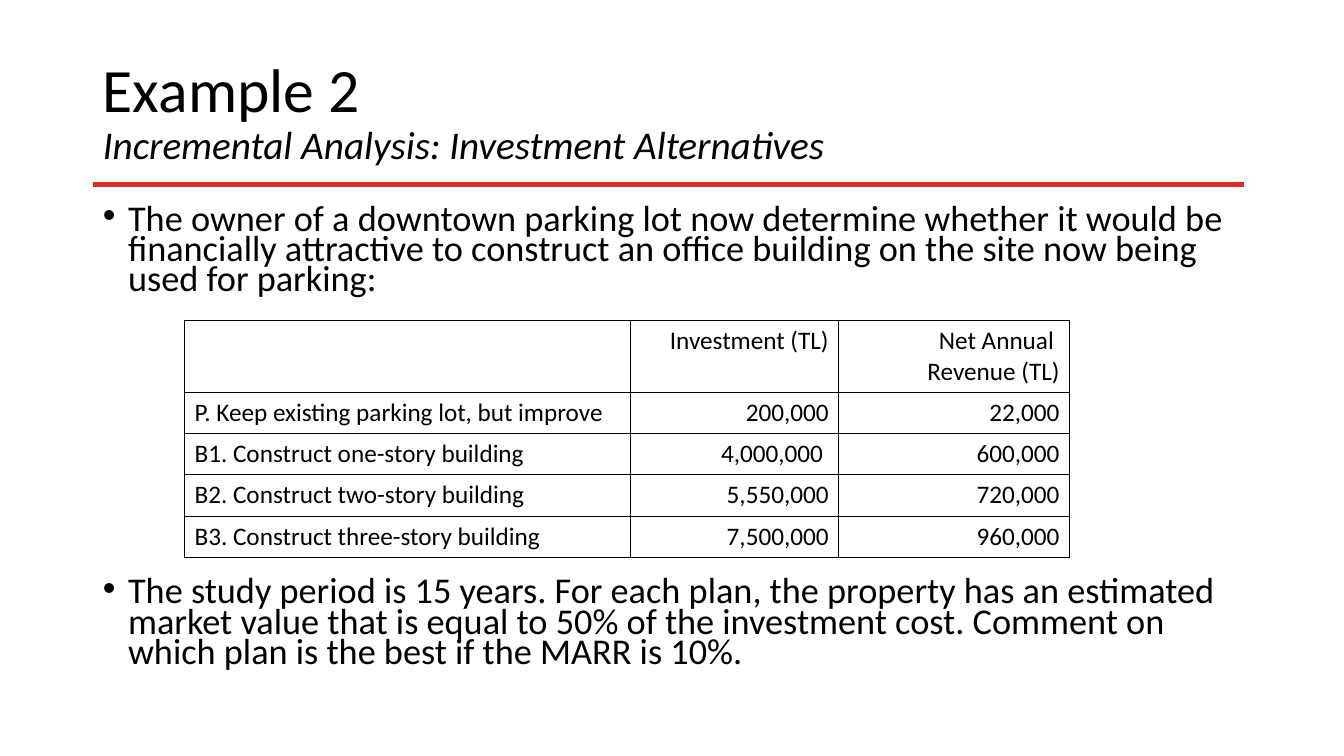
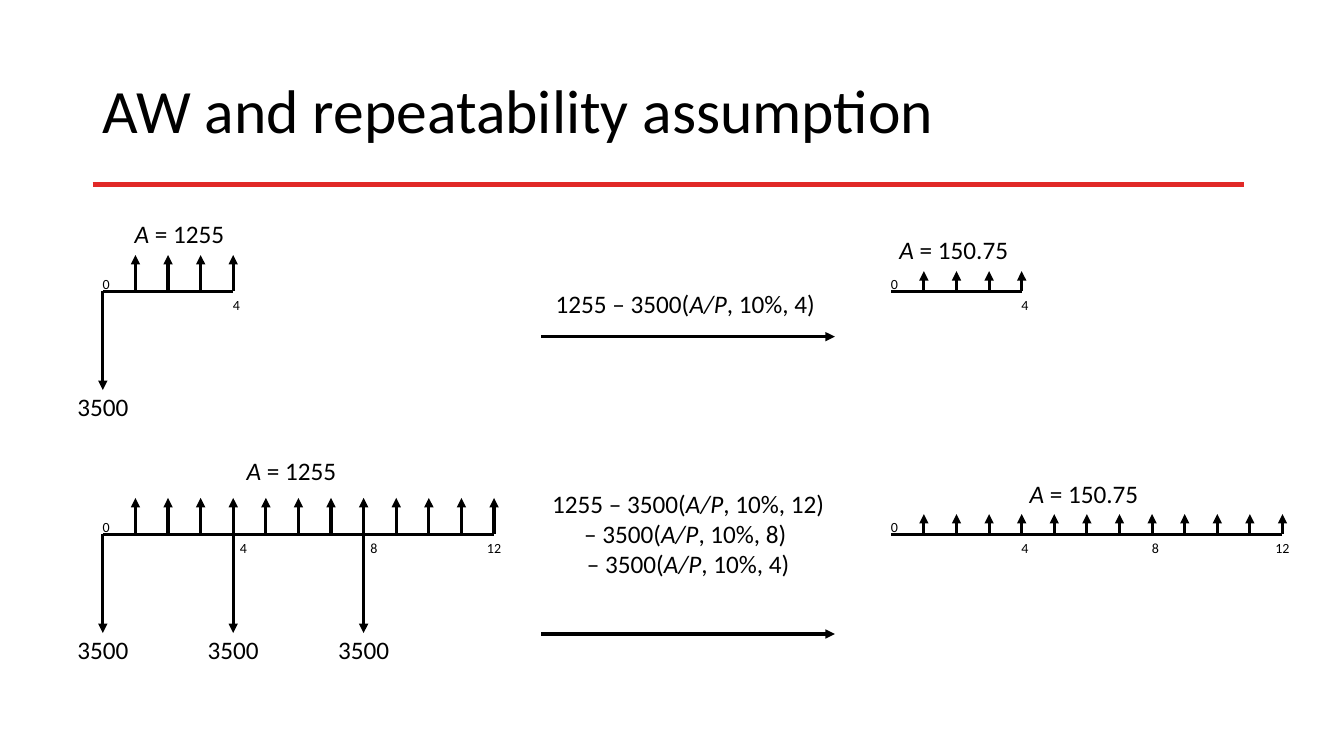
from dataclasses import dataclass

from lxml import etree
from pptx import Presentation
from pptx.dml.color import RGBColor
from pptx.enum.shapes import MSO_CONNECTOR
from pptx.enum.text import MSO_ANCHOR, MSO_AUTO_SIZE, PP_ALIGN
from pptx.oxml.ns import qn
from pptx.util import Inches, Pt

STRAIGHT = MSO_CONNECTOR.STRAIGHT
LEFT, CENTER, RIGHT = PP_ALIGN.LEFT, PP_ALIGN.CENTER, PP_ALIGN.RIGHT
MIDDLE, TOP = MSO_ANCHOR.MIDDLE, MSO_ANCHOR.TOP
BLACK = RGBColor(0x00, 0x00, 0x00)
RED = RGBColor(0xE1, 0x29, 0x27)
FONT = "Calibri"

SLIDE_WIDTH, SLIDE_HEIGHT = 13.33, 7.5
MARGIN, CONTENT_WIDTH = 0.92, 11.5
RULE_TOP, RULE_RIGHT = 1.83, 12.34
TITLE_AND_CONTENT, TITLE_ONLY = 1, 5

PERIOD = 3.88 / 12
LABEL_HEIGHT, TICK_HEIGHT = 0.33, 0.25
COST_LENGTH = 0.98
TICK_SHIFT = 0.07
FORMULA_LEFT, FORMULA_WIDTH = 5.37, 2.91

BULLETS = (
    "The owner of a downtown parking lot now determine whether it would be "
    "financially attractive to construct an office building on the site now "
    "being used for parking:",
    "The study period is 15 years. For each plan, the property has an estimated "
    "market value that is equal to 50% of the investment cost. Comment on which "
    "plan is the best if the MARR is 10%.",
)
BULLET_SPACES = (10, 201)  # the second bullet starts below the table
COLUMN_WIDTHS = (4.42, 2.07, 2.29)
HEADER_HEIGHT, ROW_HEIGHT = 0.7, 0.41
TABLE_ROWS = (
    ("", "Investment (TL)", "Net Annual \nRevenue (TL)"),
    ("P. Keep existing parking lot, but improve", "200,000", "22,000"),
    ("B1. Construct one-story building", "4,000,000 ", "600,000"),
    ("B2. Construct two-story building", "5,550,000", "720,000"),
    ("B3. Construct three-story building", "7,500,000", "960,000"),
)


@dataclass(frozen=True)
class CashFlow:
    left: float
    axis: float
    periods: int
    arrow_length: float
    annual: str
    label_center: float
    label_rise: float
    cost_periods: tuple[int, ...] = ()


@dataclass(frozen=True)
class Formula:
    text: str
    top: float
    height: float
    arrow_top: float


CASH_FLOWS = (
    CashFlow(1.02, 2.89, 4, 0.36, "1255", 1.78, 0.74, (0,)),
    CashFlow(1.02, 5.3, 12, 0.36, "1255", 2.89, 0.8, (0, 4, 8)),
    CashFlow(8.84, 2.89, 4, 0.2, "150.75", 9.46, 0.58),
    CashFlow(8.84, 5.3, 12, 0.2, "150.75", 10.75, 0.57),
)
FORMULAS = (
    Formula("1255 – 3500(*A/P*, 10%, 4) ", 2.85, LABEL_HEIGHT, 3.34),
    Formula(
        "1255 – 3500(*A/P*, 10%, 12)\n– 3500(*A/P*, 10%, 8) \n– 3500(*A/P*, 10%, 4)",
        4.72, 1.14, 6.29,
    ),
)


def write_text(paragraph, text: str, *, size: float = 18, align=LEFT,
               line_spacing: float = 1, space_before: float = 0) -> None:
    """Append text; asterisks enclose italics and a newline breaks the line."""
    paragraph.alignment = align
    paragraph.line_spacing = line_spacing
    paragraph.space_before = Pt(space_before)
    for part_index, part in enumerate(text.split("*")):
        for line_index, line in enumerate(part.split("\n")):
            if line_index:
                paragraph.add_line_break()
            if not line:
                continue
            run = paragraph.add_run()
            run.text = line
            run.font.name, run.font.size = FONT, Pt(size)
            run.font.color.rgb = BLACK
            run.font.italic = part_index % 2 == 1


def add_line(slide, start: tuple[float, float], end: tuple[float, float], *,
             color=BLACK, width: float = 2.25, arrow: bool = False):
    connector = slide.shapes.add_connector(
        STRAIGHT, *(Inches(length) for length in start + end))
    connector.line.color.rgb = color
    connector.line.width = Pt(width)
    if arrow:
        etree.SubElement(connector.line._get_or_add_ln(), qn("a:tailEnd"),
                         type="triangle")
    etree.SubElement(connector.element.spPr, qn("a:effectLst"))
    return connector


def add_label(slide, text: str, center: float, top: float, width: float,
              height: float = LABEL_HEIGHT, size: float = 18) -> None:
    box = slide.shapes.add_textbox(Inches(center - width / 2), Inches(top),
                                   Inches(width), Inches(height))
    frame = box.text_frame
    frame.word_wrap = True
    frame.vertical_anchor = MIDDLE
    write_text(frame.paragraphs[0], text, size=size, align=CENTER)


def place(placeholder, top: float, height: float, anchor):
    """Move a placeholder onto the content column and return its text frame."""
    placeholder.left, placeholder.top = Inches(MARGIN), Inches(top)
    placeholder.width, placeholder.height = Inches(CONTENT_WIDTH), Inches(height)
    frame = placeholder.text_frame
    frame.auto_size = MSO_AUTO_SIZE.NONE
    frame.vertical_anchor = anchor
    return frame


def add_titled_slide(presentation, layout_index: int, title: str, subtitle: str = ""):
    slide = presentation.slides.add_slide(presentation.slide_layouts[layout_index])
    paragraph = place(slide.shapes.title, 0.4, 1.45, MIDDLE).paragraphs[0]
    write_text(paragraph, title, size=44, line_spacing=0.9)
    if subtitle:
        paragraph.add_line_break()
        write_text(paragraph, f"*{subtitle}*", size=28, line_spacing=0.9)
    return slide


def move_rule_to_master(presentation, slide) -> None:
    """Draw the red rule once, on the master that all slides share."""
    rule = add_line(slide, (MARGIN, RULE_TOP), (RULE_RIGHT, RULE_TOP),
                    color=RED, width=3)
    rule.element.nvCxnSpPr.cNvPr.set("id", "100")
    presentation.slide_master.shapes.element.append(rule.element)


def set_borders(cell) -> None:
    properties = cell._tc.get_or_add_tcPr()
    for position, side in enumerate(("lnL", "lnR", "lnT", "lnB")):
        border = etree.Element(qn(f"a:{side}"), w=str(Pt(1)))
        fill = etree.SubElement(border, qn("a:solidFill"))
        etree.SubElement(fill, qn("a:srgbClr"), val=str(BLACK))
        properties.insert(position, border)


def add_investment_table(slide) -> None:
    height = HEADER_HEIGHT + ROW_HEIGHT * (len(TABLE_ROWS) - 1)
    table = slide.shapes.add_table(
        len(TABLE_ROWS), len(COLUMN_WIDTHS), Inches(1.83), Inches(3.18),
        Inches(sum(COLUMN_WIDTHS)), Inches(height)).table
    table.first_row = table.horz_banding = False
    for column, width in zip(table.columns, COLUMN_WIDTHS):
        column.width = Inches(width)
    for row_index, texts in enumerate(TABLE_ROWS):
        table.rows[row_index].height = Inches(ROW_HEIGHT if row_index else HEADER_HEIGHT)
        for column_index, text in enumerate(texts):
            cell = table.cell(row_index, column_index)
            cell.fill.background()
            set_borders(cell)
            write_text(cell.text_frame.paragraphs[0], text,
                       align=RIGHT if column_index else LEFT)


def add_bullets(slide) -> None:
    frame = place(slide.placeholders[1], 2, 4.76, TOP)
    for index, (text, space) in enumerate(zip(BULLETS, BULLET_SPACES)):
        paragraph = frame.add_paragraph() if index else frame.paragraphs[0]
        write_text(paragraph, text, size=25.9, line_spacing=0.7, space_before=space)
        properties = paragraph._p.get_or_add_pPr()
        properties.set("marL", str(Inches(0.25)))
        properties.set("indent", str(-Inches(0.25)))


def add_cash_flow(slide, flow: CashFlow) -> None:
    ticks = [flow.left + period * PERIOD for period in range(flow.periods + 1)]
    add_line(slide, (ticks[0], flow.axis), (ticks[-1], flow.axis))
    for tick in ticks[1:]:
        add_line(slide, (tick, flow.axis), (tick, flow.axis - flow.arrow_length),
                 arrow=True)
    for period in flow.cost_periods:
        bottom = flow.axis + COST_LENGTH
        add_line(slide, (ticks[period], flow.axis), (ticks[period], bottom), arrow=True)
        add_label(slide, "3500", ticks[period], bottom, 0.84)
    for period in range(0, flow.periods + 1, 4):
        shift = TICK_SHIFT if period and period in flow.cost_periods else 0
        top = flow.axis + (0.01 if period else -0.2)
        add_label(slide, str(period), ticks[period] + shift, top,
                  0.46 if period > 9 else 0.19, TICK_HEIGHT, 10)
    add_label(slide, f"*A *= {flow.annual}", flow.label_center,
              flow.axis - flow.label_rise, 1.55)


def add_formula(slide, formula: Formula) -> None:
    right = FORMULA_LEFT + FORMULA_WIDTH
    add_label(slide, formula.text, FORMULA_LEFT + FORMULA_WIDTH / 2, formula.top,
              FORMULA_WIDTH, formula.height)
    add_line(slide, (FORMULA_LEFT, formula.arrow_top), (right, formula.arrow_top),
             arrow=True)


def main() -> None:
    presentation = Presentation()
    presentation.slide_width = Inches(SLIDE_WIDTH)
    presentation.slide_height = Inches(SLIDE_HEIGHT)

    example = add_titled_slide(presentation, TITLE_AND_CONTENT, "Example 2",
                               "Incremental Analysis: Investment Alternatives")
    move_rule_to_master(presentation, example)
    add_bullets(example)
    add_investment_table(example)

    repeatability = add_titled_slide(presentation, TITLE_ONLY,
                                     "AW and repeatability assumption")
    for flow in CASH_FLOWS:
        add_cash_flow(repeatability, flow)
    for formula in FORMULAS:
        add_formula(repeatability, formula)

    presentation.save("out.pptx")


if __name__ == "__main__":
    main()
